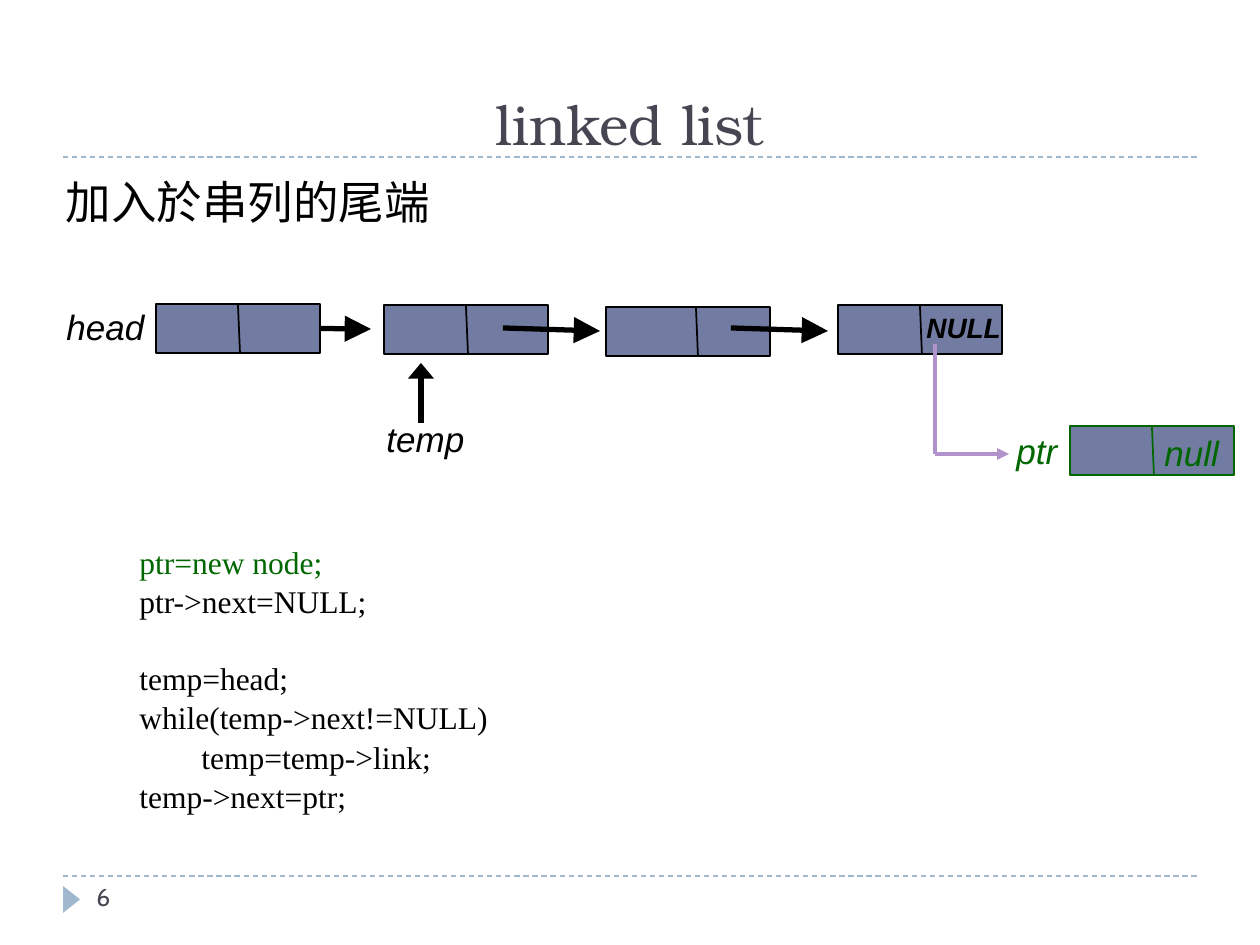
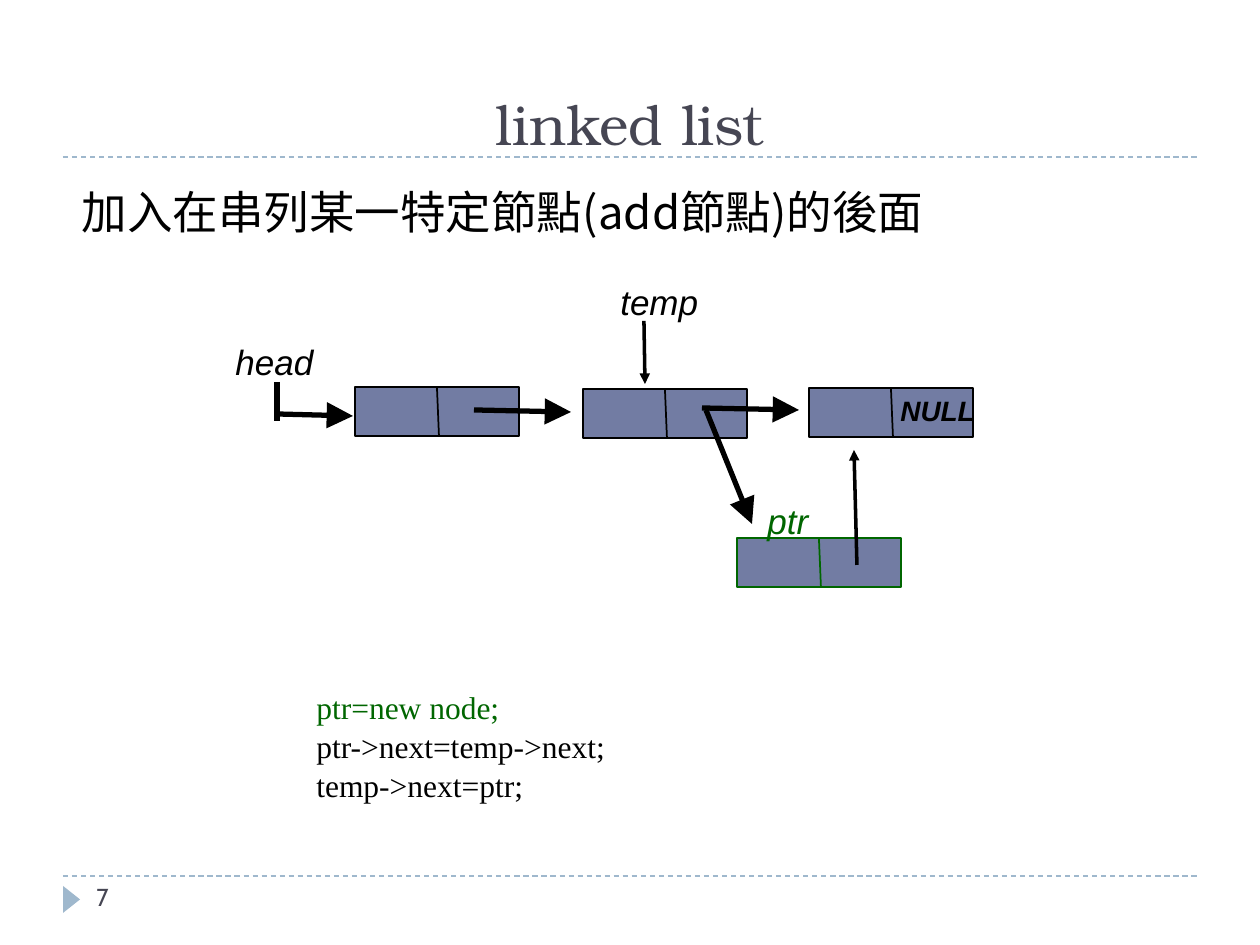
import pptx
import pptx.util
import pptx.dml.color
import pptx.enum.dml
import pptx.enum.shapes
import pptx.enum.text
import pptx.oxml
import pptx.oxml.ns
import lxml.etree

PX = 7257  # EMU in one px, 126 px to the inch
NODE_WIDTH, NODE_HEIGHT = 164, 49
SHAPES = pptx.enum.shapes.MSO_SHAPE


class Theme:
    black, green, purple = "000000", "006600", "B292CA"
    slate, sky, node = "464653", "9FB8CD", "727CA3"
    title_font, number_font = "TeX Gyre Bonum", "Cabin"
    body_font, label_font, code_font = "Noto Sans CJK SC", "Arial", "Times New Roman"
    title_size, body_size, label_size, code_size = 32, 26, 20, 18
    null_size, number_size = 16, 14
    # colour, width in points, arrowhead width and length
    lines = {
        "link": (black, 3, "lg", "lg"),
        "cursor": (black, 3, "lg", "med"),
        "stem": (black, 3, None, None),
        "thin": (black, 2, "med", "med"),
        "new stem": (purple, 2.25, None, None),
        "new link": (purple, 2.25, "med", "med"),
        "divider": (black, 1, None, None),
        "new divider": (green, 1, None, None),
        "rule": (sky, 0.75, None, None),
    }


def write(text, frame, font, size, color=Theme.black, bold=False, italic=False,
          align=None, before=0, spacing=1.0, indent=0):
    """Add one formatted paragraph to a text frame."""
    para = frame.add_paragraph() if frame.text else frame.paragraphs[0]
    para.alignment = align
    para.space_before = pptx.util.Pt(before)
    para.line_spacing = spacing
    properties = para._p.get_or_add_pPr()
    properties.set("marL", str(indent * PX))
    properties.set("indent", "0")
    lxml.etree.SubElement(properties, pptx.oxml.ns.qn("a:buNone"))
    span = para.add_run()
    span.text = text
    span.font.name = font
    span.font.size = pptx.util.Pt(size)
    span.font.bold = bold
    span.font.italic = italic
    span.font.color.rgb = pptx.dml.color.RGBColor.from_string(color)
    east_asian = lxml.etree.SubElement(span._r.get_or_add_rPr(), pptx.oxml.ns.qn("a:ea"))
    east_asian.set("typeface", font)


def draw_line(page, start, end, style):
    """Draw a straight line in one of the theme's line styles."""
    color, width, head_width, head_length = Theme.lines[style]
    line = page.shapes.add_connector(
        pptx.enum.shapes.MSO_CONNECTOR.STRAIGHT, *[value * PX for value in start + end])
    line.line.color.rgb = pptx.dml.color.RGBColor.from_string(color)
    line.line.width = pptx.util.Pt(width)
    if head_width:
        head = lxml.etree.SubElement(line.line._get_or_add_ln(), pptx.oxml.ns.qn("a:tailEnd"))
        head.set("type", "triangle")
        head.set("w", head_width)
        head.set("len", head_length)
    lxml.etree.SubElement(line._element.spPr, pptx.oxml.ns.qn("a:effectLst"))
    return line


# Slide content: nodes are (left, top, divider offset, colour),
# labels are (text, left, top, width, colour)
slides = [
    {
        "number": "6",
        "topic": ("加入於串列的尾端", 53, 168),
        "nodes": [
            (156, 304, 82, Theme.black),
            (384, 305, 82, Theme.black),
            (606, 307, 90, Theme.black),
            (838, 305, 82, Theme.black),
            (1070, 426, 82, Theme.green),
        ],
        "lines": [
            ((320, 328), (371, 329), "link"),
            ((503, 328), (600, 331), "link"),
            ((731, 328), (828, 331), "link"),
            ((421, 423), (421, 363), "cursor"),
            ((935, 344), (935, 454), "new stem"),
            ((935, 454), (1009, 454), "new link"),
        ],
        "labels": [
            ("NULL", 914, 304, 110, Theme.black),
            ("head", 54, 299, 110, Theme.black),
            ("temp", 374, 411, 110, Theme.black),
            ("ptr", 1004, 423, 77, Theme.green),
            ("null", 1152, 425, 90, Theme.green),
        ],
        "code_place": (127, 535, 939, 277),
        "code": [
            ("ptr=new node;", {"color": Theme.green}),
            ("ptr->next=NULL;", {}),
            ("temp=head;", {"before": 21.6}),
            ("while(temp->next!=NULL)", {}),
            ("temp=temp->link;", {"indent": 62}),
            ("temp->next=ptr;", {}),
        ],
    },
    {
        "number": "7",
        "topic": ("加入在串列某一特定節點(add節點)的後面", 69, 178),
        "nodes": [
            (355, 387, 82, Theme.black),
            (583, 389, 82, Theme.black),
            (809, 388, 82, Theme.black),
            (737, 538, 82, Theme.green),
        ],
        "lines": [
            ((474, 410), (571, 412), "link"),
            ((702, 408), (799, 410), "link"),
            ((277, 382), (277, 421), "stem"),
            ((277, 414), (353, 416), "link"),
            ((644, 321), (645, 384), "thin"),
            ((857, 565), (854, 450), "thin"),
            ((706, 410), (752, 524), "link"),
        ],
        "labels": [
            ("temp", 608, 274, 150, Theme.black),
            ("NULL", 888, 387, 110, Theme.black),
            ("head", 223, 334, 110, Theme.black),
            ("ptr", 755, 493, 72, Theme.green),
        ],
        "code_place": (304, 680, 330, 126),
        "code": [
            ("ptr=new node;", {"color": Theme.green}),
            ("ptr->next=temp->next;", {}),
            ("temp->next=ptr;", {}),
        ],
    },
]

deck = pptx.Presentation()
deck.slide_width = pptx.util.Inches(10)
deck.slide_height = pptx.util.Inches(7.5)

for content in slides:
    page = deck.slides.add_slide(deck.slide_layouts[1])

    # Dashed rules and footer marker
    for rule_y in (157, 876):
        rule = draw_line(page, (63, rule_y), (1197, rule_y), "rule")
        rule.line.dash_style = pptx.enum.dml.MSO_LINE.DASH
    marker = page.shapes.add_shape(
        SHAPES.ISOSCELES_TRIANGLE, 58 * PX, 891 * PX, 27 * PX, 17 * PX)
    marker.rotation = 90
    marker.shadow.inherit = False
    marker.fill.solid()
    marker.fill.fore_color.rgb = pptx.dml.color.RGBColor.from_string(Theme.sky)
    marker.line.fill.background()

    # Title and topic
    topic, topic_left, topic_top = content["topic"]
    title, body = page.placeholders
    for box, place in ((title, (63, 21, 1134, 136)), (body, (topic_left, topic_top, 1190, 83))):
        box.left, box.top, box.width, box.height = [value * PX for value in place]
        box.text_frame.auto_size = pptx.enum.text.MSO_AUTO_SIZE.NONE
    frame = title.text_frame
    frame.vertical_anchor = pptx.enum.text.MSO_ANCHOR.BOTTOM
    frame.margin_left = frame.margin_right = frame.margin_top = frame.margin_bottom = 0
    write("linked list", frame, Theme.title_font, Theme.title_size, Theme.slate,
          align=pptx.enum.text.PP_ALIGN.CENTER)
    body.text_frame.vertical_anchor = pptx.enum.text.MSO_ANCHOR.TOP
    write(topic, body.text_frame, Theme.body_font, Theme.body_size)

    # Slide number
    box = page.shapes.add_textbox(84 * PX, 876 * PX, 273 * PX, 50 * PX)
    write(content["number"], box.text_frame, Theme.number_font, Theme.number_size, Theme.slate)

    # List nodes
    right_middles = {}
    for left, top, divider, color in content["nodes"]:
        node = page.shapes.add_shape(
            SHAPES.RECTANGLE, left * PX, top * PX, NODE_WIDTH * PX, NODE_HEIGHT * PX)
        node.shadow.inherit = False
        node.fill.solid()
        node.fill.fore_color.rgb = pptx.dml.color.RGBColor.from_string(Theme.node)
        node.line.color.rgb = pptx.dml.color.RGBColor.from_string(color)
        node.line.width = pptx.util.Pt(1)
        draw_line(page, (left + divider, top + 1), (left + divider + 2, top + NODE_HEIGHT),
                  "new divider" if color == Theme.green else "divider")
        right_middles[left + NODE_WIDTH, top + NODE_HEIGHT // 2] = node

    # Pointers, joined to a node where they start at its right side
    for start, end, style in content["lines"]:
        pointer = draw_line(page, start, end, style)
        if start in right_middles:
            pointer.begin_connect(right_middles[start], 3)

    # Labels
    for text, left, top, width, color in content["labels"]:
        is_null = text == "NULL"
        box = page.shapes.add_textbox(left * PX, top * PX, width * PX, 55 * PX)
        box.text_frame.word_wrap = True
        write(text, box.text_frame, Theme.label_font,
              Theme.null_size if is_null else Theme.label_size, color,
              bold=is_null, italic=True)

    # Code
    box = page.shapes.add_textbox(*[value * PX for value in content["code_place"]])
    box.text_frame.word_wrap = True
    for text, options in content["code"]:
        write(text, box.text_frame, Theme.code_font, Theme.code_size, spacing=1.04, **options)

deck.save("out.pptx")
